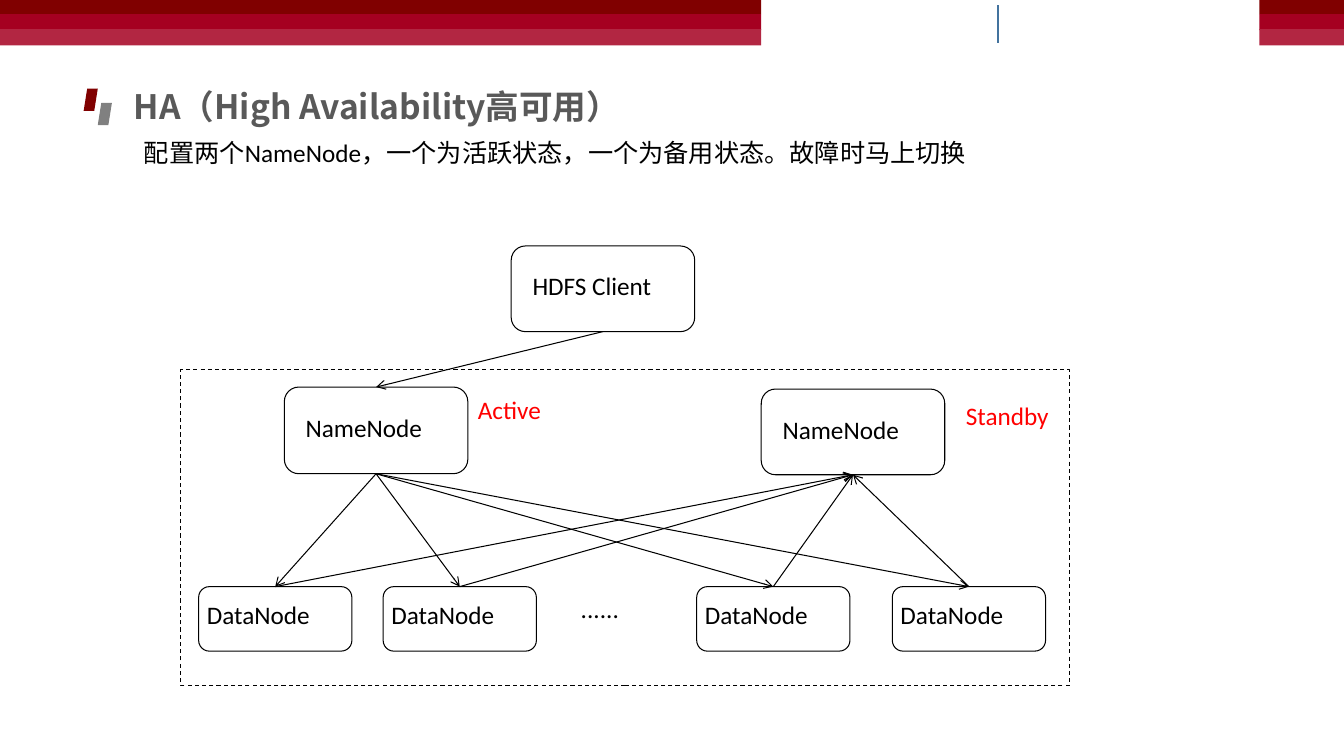
from lxml import etree
from pptx import Presentation
from pptx.dml.color import RGBColor
from pptx.enum.dml import MSO_LINE
from pptx.enum.shapes import MSO_CONNECTOR, MSO_SHAPE
from pptx.enum.text import MSO_ANCHOR, PP_ALIGN
from pptx.oxml.ns import qn
from pptx.util import Pt

PX = 9144
RECT = MSO_SHAPE.RECTANGLE
ROUND = MSO_SHAPE.ROUNDED_RECTANGLE
SLANT = MSO_SHAPE.PARALLELOGRAM
LINE = MSO_CONNECTOR.STRAIGHT
DASH = MSO_LINE.DASH
TOP = MSO_ANCHOR.TOP
LEFT = PP_ALIGN.LEFT

MAROON = RGBColor(0x80, 0x00, 0x00)
CRIMSON = RGBColor(0xA5, 0x00, 0x21)
ROSE = RGBColor(0xB2, 0x26, 0x42)
GRAY = RGBColor(0x80, 0x80, 0x80)
DARK = RGBColor(0x59, 0x59, 0x59)
BLUE = RGBColor(0x43, 0x73, 0x9E)
BLACK = RGBColor(0x00, 0x00, 0x00)
WHITE = RGBColor(0xFF, 0xFF, 0xFF)
RED = RGBColor(0xFF, 0x00, 0x00)

BODY = "Calibri"
HEAD = "Noto Sans CJK SC"


def shape(slide, kind, box, fill, edge=None):
    item = slide.shapes.add_shape(kind, *(n * PX for n in box))
    item.shadow.inherit = False
    item.fill.solid()
    item.fill.fore_color.rgb = fill
    if edge is None:
        item.line.fill.background()
    else:
        item.line.color.rgb = edge
        item.line.width = Pt(0.75)
    return item


def write(item, text, inset, color=BLACK, size=18, face=BODY, bold=False):
    frame = item.text_frame
    frame.word_wrap = True
    frame.vertical_anchor = TOP
    frame.margin_left, frame.margin_top = (n * PX for n in inset)
    frame.margin_right = inset[0] * PX
    frame.margin_bottom = 0
    para = frame.paragraphs[0]
    para.text = text
    para.alignment = LEFT
    font = para.font
    font.name, font.size, font.bold = face, Pt(size), bold
    font.color.rgb = color


def label(slide, box, text, inset=(0, 0), **style):
    item = slide.shapes.add_textbox(*(n * PX for n in box))
    write(item, text, inset, **style)
    return item


def node(slide, box, text, inset):
    item = shape(slide, ROUND, box, WHITE, BLACK)
    write(item, text, inset)
    return item


def line(slide, ends, color, width):
    item = slide.shapes.add_connector(LINE, *(n * PX for n in ends))
    item.line.color.rgb = color
    item.line.width = Pt(width)
    etree.SubElement(item._element.spPr, qn("a:effectLst"))
    return item


def arrow(slide, start, out, end, into):
    item = line(slide, (0, 0, 0, 0), BLACK, 0.75)
    item.begin_connect(start, out)
    item.end_connect(end, into)
    tip = etree.SubElement(item.line._get_or_add_ln(), qn("a:tailEnd"))
    tip.set("type", "arrow")


def stripes(slide, left, width):
    for top, high, fill in ((0, 14, MAROON), (14, 16, CRIMSON), (29, 16, ROSE)):
        shape(slide, RECT, (left, top, width, high), fill)


def banner(slide):
    stripes(slide, 0, 755)
    stripes(slide, 1249, 84)
    line(slide, (990, 5, 990, 43), BLUE, 1)


def heading(slide, left, top):
    shape(slide, SLANT, (left, top + 8, 14, 22), MAROON)
    shape(slide, SLANT, (left + 14, top + 22, 14, 22), GRAY)
    title = label(slide, (left + 40, top, 835, 50), "HA（High Availability高可用）",
                  (10, 5), color=DARK, size=24, face=HEAD, bold=True)
    props = title.text_frame.paragraphs[0].font._element
    etree.SubElement(props, qn("a:ea")).set("typeface", HEAD)
    label(slide, (left + 50, top + 51, 843, 40),
          "配置两个NameNode，一个为活跃状态，一个为备用状态。故障时马上切换", (10, 5))


def cluster(slide, left, top):
    frame = shape(slide, RECT, (left, top, 882, 313), WHITE, BLACK)
    frame.line.dash_style = DASH
    client = node(slide, (left + 328, top - 123, 182, 85), "HDFS Client", (17, 20))
    active = node(slide, (left + 103, top + 17, 182, 86), "NameNode", (17, 21))
    spare = node(slide, (left + 576, top + 19, 182, 85), "NameNode", (17, 21))
    data = [node(slide, (left + x, top + 215, 152, 64), "DataNode", (5, 9))
            for x in (18, 201, 512, 706)]
    label(slide, (left + 397, top + 222, 115, 58), "......")
    label(slide, (left + 295, top + 24, 133, 58), "Active", color=RED)
    label(slide, (left + 779, top + 30, 91, 62), "Standby", color=RED)
    arrow(slide, client, 2, active, 0)
    for item in data:
        arrow(slide, active, 2, item, 0)
        arrow(slide, item, 0, spare, 2)


def main():
    deck = Presentation()
    deck.slide_width, deck.slide_height = 1333 * PX, 750 * PX
    slide = deck.slides.add_slide(deck.slide_layouts[6])
    banner(slide)
    heading(slide, 83, 80)
    cluster(slide, 179, 367)
    deck.save("out.pptx")


if __name__ == "__main__":
    main()
